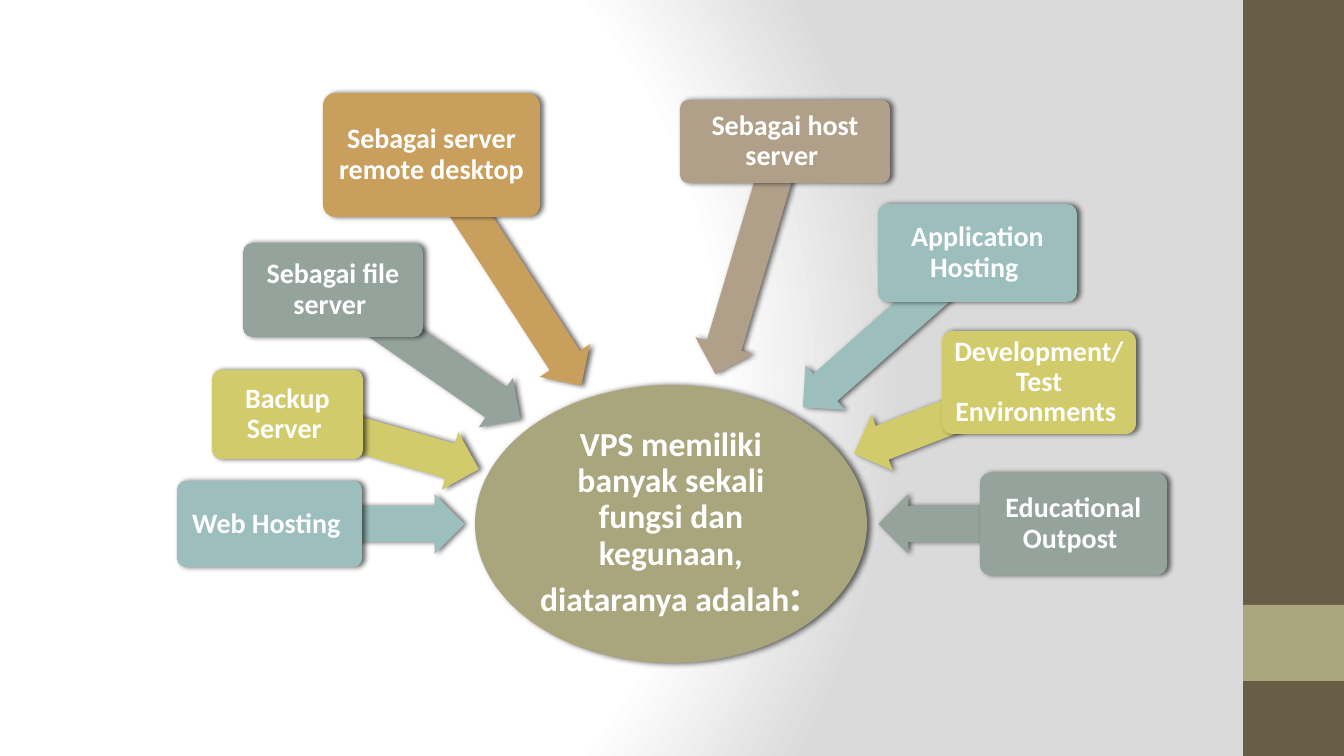
"""Builds a slide with eight VPS uses pointing at a central ellipse."""
from math import atan2, cos, degrees, sin

from lxml import etree
from pptx import Presentation
from pptx.dml.color import RGBColor
from pptx.enum.shapes import MSO_SHAPE
from pptx.enum.text import MSO_ANCHOR, PP_ALIGN
from pptx.oxml import parse_xml
from pptx.oxml.ns import nsdecls, qn
from pptx.util import Pt

RECT, ELLIPSE = MSO_SHAPE.RECTANGLE, MSO_SHAPE.OVAL
ROUNDED, ARROW = MSO_SHAPE.ROUNDED_RECTANGLE, MSO_SHAPE.LEFT_ARROW
MIDDLE, CENTER = MSO_ANCHOR.MIDDLE, PP_ALIGN.CENTER

WHITE = RGBColor(0xFF, 0xFF, 0xFF)
BROWN = RGBColor(0x67, 0x5E, 0x47)
OLIVE = RGBColor(0xA9, 0xA5, 0x7C)
TEAL = RGBColor(0x9C, 0xBE, 0xBD)
LIME = RGBColor(0xD2, 0xCB, 0x6C)
SAGE = RGBColor(0x95, 0xA3, 0x9D)
OCHRE = RGBColor(0xC8, 0x9F, 0x5D)
TAUPE = RGBColor(0xB1, 0xA0, 0x89)

SIZE = (1344, 756)
SIDEBARS = [((1243, 0, 101, 756), BROWN), ((1243, 605, 101, 76), OLIVE)]
HUB = (475, 385, 392, 278)
HUB_TEXT = [("VPS memiliki banyak sekali fungsi dan kegunaan, diataranya adalah", 24), (":", 32)]
USES = [
    ("Web Hosting ", (177, 481, 185, 86), 195, TEAL),
    ("Backup Server ", (212, 370, 151, 89), 199, LIME),
    ("Sebagai file server ", (243, 243, 180, 94), 228, SAGE),
    ("Sebagai server remote desktop", (323, 93, 217, 124), 275, OCHRE),
    ("Sebagai host server ", (680, 100, 210, 83), 243, TAUPE),
    ("Application Hosting ", (878, 204, 199, 98), 233, TEAL),
    ("Development/Test Environments ", (942, 331, 194, 103), 198, LIME),
    ("Educational Outpost ", (980, 473, 187, 102), 195, SAGE),
]
ARROW_HEIGHT = 60
BACKGROUND_STOPS = [(0, "FFFFFF"), (75, "FFFFFF"), (100, "DADADA")]


def px(length):
    return round(length * 914400 / 100.8)


def middle(box):
    left, top, width, height = box
    return left + width / 2, top + height / 2


def paint_background(slide):
    slide.background.fill.gradient()
    gradient = slide.element.find(".//" + qn("a:gradFill"))
    stops = "".join(
        f'<a:gs pos="{position * 1000}"><a:srgbClr val="{color}"/></a:gs>'
        for position, color in BACKGROUND_STOPS
    )
    gradient.getparent().replace(gradient, parse_xml(
        f'<a:gradFill {nsdecls("a")} rotWithShape="1"><a:gsLst>{stops}</a:gsLst>'
        '<a:path path="circle"><a:fillToRect l="20000" t="50000" r="100000" b="50000"/>'
        '</a:path></a:gradFill>'
    ))


def add_filled(slide, kind, box, color, shaded=True):
    shape = slide.shapes.add_shape(kind, *map(px, box))
    shape.fill.solid()
    shape.fill.fore_color.rgb = color
    shape.line.fill.background()
    shape.shadow.inherit = False
    if shaded:
        effects = shape.element.spPr.find(qn("a:effectLst"))
        shadow = etree.SubElement(effects, qn("a:outerShdw"), blurRad="50800",
                                  dist="25400", dir="0", rotWithShape="0")
        black = etree.SubElement(shadow, qn("a:srgbClr"), val="000000")
        etree.SubElement(black, qn("a:alpha"), val="60000")
    return shape


def write(shape, pieces, inset):
    frame = shape.text_frame
    frame.word_wrap = True
    frame.vertical_anchor = MIDDLE
    frame.margin_left = frame.margin_right = px(inset)
    frame.margin_top = frame.margin_bottom = px(inset)
    paragraph = frame.paragraphs[0]
    paragraph.alignment = CENTER
    paragraph.line_spacing = 0.9
    for wording, size in pieces:
        run = paragraph.add_run()
        run.text = wording
        run.font.name = "Calibri"
        run.font.size = Pt(size)
        run.font.bold = True
        run.font.color.rgb = WHITE


def add_use(slide, label, box, length, color):
    x, y = middle(box)
    hub_x, hub_y = middle(HUB)
    angle = atan2(hub_y - y, hub_x - x)
    left = x + cos(angle) * length / 2 - length / 2
    top = y + sin(angle) * length / 2 - ARROW_HEIGHT / 2
    arrow = add_filled(slide, ARROW, (left, top, length, ARROW_HEIGHT), color)
    arrow.adjustments[0] = 0.6
    arrow.adjustments[1] = 0.5
    arrow.rotation = (degrees(angle) + 180) % 360
    card = add_filled(slide, ROUNDED, box, color)
    card.adjustments[0] = 0.1
    write(card, [(label, 20)], 4)


def main():
    deck = Presentation()
    deck.slide_width, deck.slide_height = map(px, SIZE)
    slide = deck.slides.add_slide(deck.slide_layouts[6])
    paint_background(slide)
    for box, color in SIDEBARS:
        add_filled(slide, RECT, box, color, shaded=False)
    write(add_filled(slide, ELLIPSE, HUB, OLIVE), HUB_TEXT, 2)
    for use in USES:
        add_use(slide, *use)
    deck.save("out.pptx")


if __name__ == "__main__":
    main()
